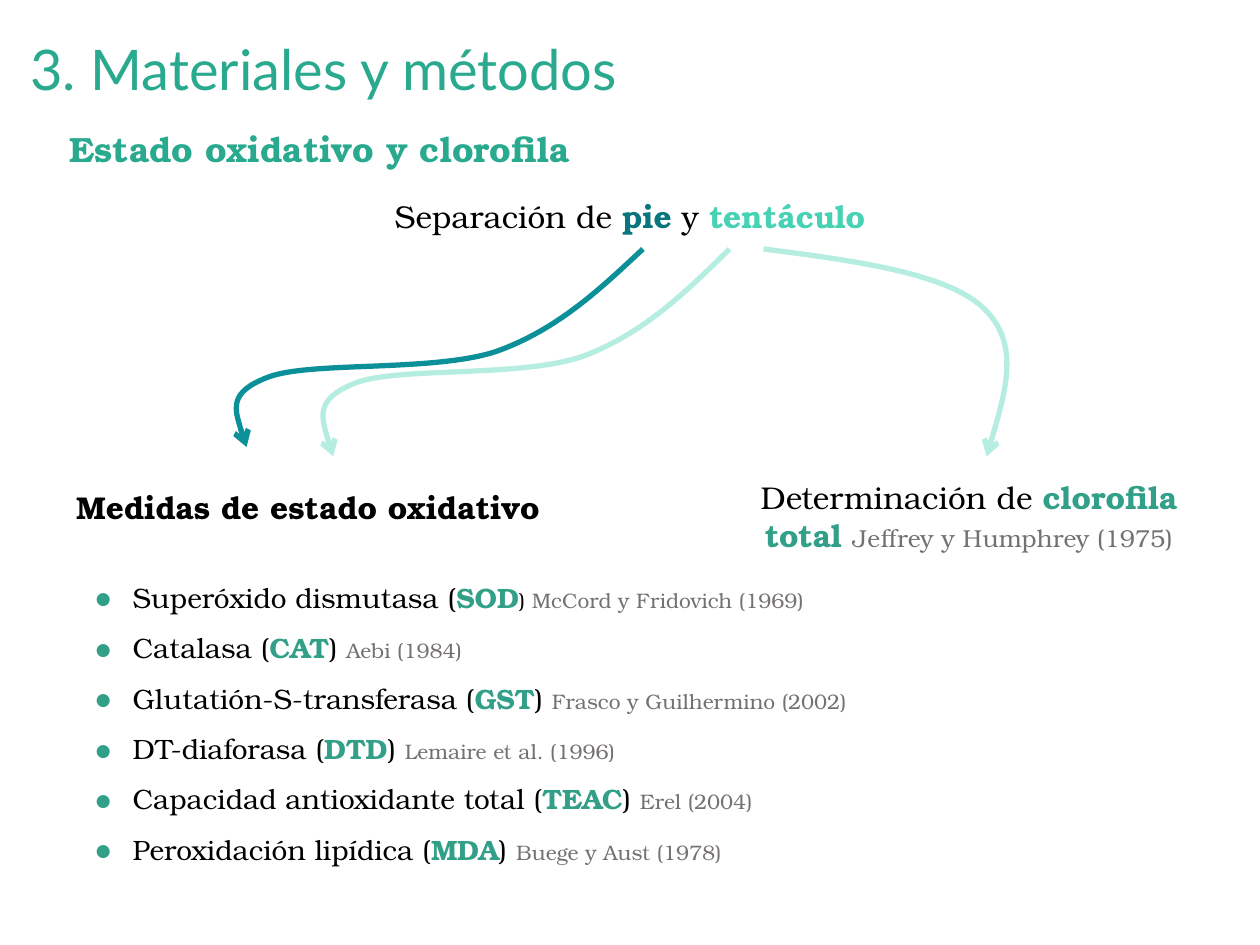
"""Build the materials and methods slide on oxidative state and chlorophyll."""
import lxml.etree
import pptx
import pptx.dml.color
import pptx.enum.text
import pptx.oxml.ns
import pptx.util

Pt = pptx.util.Pt
RGBColor = pptx.dml.color.RGBColor
qn = pptx.oxml.ns.qn
LEFT = pptx.enum.text.PP_ALIGN.LEFT
CENTER = pptx.enum.text.PP_ALIGN.CENTER

BLACK = RGBColor(0x00, 0x00, 0x00)
GREY = RGBColor(0x76, 0x71, 0x71)
HEADING = RGBColor(0x29, 0xA9, 0x8E)
ACCENT = RGBColor(0x32, 0xA0, 0x88)
FOOT = RGBColor(0x09, 0x75, 0x7C)
TENTACLE = RGBColor(0x47, 0xD2, 0xB4)
FOOT_ARROW = RGBColor(0x0B, 0x8F, 0x99)
TENTACLE_ARROW = RGBColor(0xB5, 0xED, 0xE1)


class SlideWriter:
    """Hold the style and the current slide, and draw each kind of element."""

    body_font = "TeX Gyre Bonum"
    title_font = "Lato"
    arrow_width = 3

    def __init__(self, slide):
        self.slide = slide

    def run(self, paragraph, text, size, color=BLACK, bold=False, name=None):
        """Add one formatted run."""
        run = paragraph.add_run()
        run.text = text
        formats = {"size": Pt(size), "bold": bold, "name": name or self.body_font}
        for attribute, value in formats.items():
            setattr(run.font, attribute, value)
        run.font.color.rgb = color

    def bullet(self, paragraph):
        """Give a paragraph a hanging coloured bullet."""
        properties = paragraph._p.get_or_add_pPr()
        properties.set("marL", str(Pt(22.5)))
        properties.set("indent", str(-Pt(22.5)))
        color = lxml.etree.SubElement(properties, qn("a:buClr"))
        lxml.etree.SubElement(color, qn("a:srgbClr"), val=str(ACCENT))
        lxml.etree.SubElement(properties, qn("a:buSzPct"), val="125000")
        lxml.etree.SubElement(properties, qn("a:buFont"), typeface=self.title_font)
        lxml.etree.SubElement(properties, qn("a:buChar"), char="•")
        paragraph.line_spacing = 1.5

    def text(self, box, paragraphs, align=LEFT, bulleted=False):
        """Add a text box whose paragraphs are lists of runs."""
        frame = self.slide.shapes.add_textbox(*map(Pt, box)).text_frame
        formats = {
            "word_wrap": True,
            "auto_size": pptx.enum.text.MSO_AUTO_SIZE.SHAPE_TO_FIT_TEXT,
        }
        for attribute, value in formats.items():
            setattr(frame, attribute, value)
        for index, runs in enumerate(paragraphs):
            paragraph = frame.add_paragraph() if index else frame.paragraphs[0]
            if bulleted:
                self.bullet(paragraph)
            paragraph.alignment = align
            for run in runs:
                self.run(paragraph, *run)

    def curved_arrow(self, box, knots, color):
        """Draw an arrow along cubic curves whose extent is the box."""
        left, top, width, height = map(Pt, box)
        builder = self.slide.shapes.build_freeform(left, top)
        builder.add_line_segments([(left + width, top + height)], close=False)
        arrow = builder.convert_to_shape()
        arrow.shadow.inherit = False
        arrow.fill.background()
        arrow.line.color.rgb = color
        arrow.line.width = Pt(self.arrow_width)
        lxml.etree.SubElement(arrow.line._get_or_add_ln(), qn("a:tailEnd"), type="arrow")

        outline = next(arrow._element.iter(qn("a:path")))
        for segment in list(outline):
            outline.remove(segment)
        curves = [knots[first:first + 3] for first in range(1, len(knots), 3)]
        for tag, points in [("a:moveTo", knots[:1])] + [("a:cubicBezTo", c) for c in curves]:
            segment = lxml.etree.SubElement(outline, qn(tag))
            for x, y in points:
                lxml.etree.SubElement(
                    segment, qn("a:pt"), x=str(Pt(x) - left), y=str(Pt(y) - top))


def main():
    """Write the slide."""
    deck = pptx.Presentation()
    deck.slide_width, deck.slide_height = Pt(720), Pt(540)
    writer = SlideWriter(deck.slides.add_slide(deck.slide_layouts[6]))

    writer.text((10.3, 16, 372, 46),
                [[("3. Materiales y métodos", 32, HEADING, False, writer.title_font)]])
    writer.text((32.7, 69.4, 392.4, 31.5),
                [[("Estado oxidativo y clorofila", 20, HEADING, True)]])

    assays = [
        ("Superóxido dismutasa", "SOD", "McCord y Fridovich (1969)", 12),
        ("Catalasa", "CAT", "Aebi (1984)", 16),
        ("Glutatión-S-transferasa", "GST", "Frasco y Guilhermino (2002)", 16),
        ("DT-diaforasa", "DTD", "Lemaire et al. (1996)", 16),
        ("Capacidad antioxidante total", "TEAC", "Erel (2004)", 16),
        ("Peroxidación lipídica", "MDA", "Buege y Aust (1978)", 16),
    ]
    writer.text((46.2, 318.6, 594.7, 179.3), [
        [(f"{assay} (", 16), (acronym, 16, ACCENT, True),
         (") ", bracket_size), (citation, 12, GREY)]
        for assay, acronym, citation, bracket_size in assays
    ], bulleted=True)

    writer.text((407.9, 269.7, 291.6, 46), [[
        ("Determinación de ", 18), ("clorofila total ", 18, ACCENT, True),
        ("Jeffrey y Humphrey (1975)", 14, GREY),
    ]], CENTER)
    writer.text((214.2, 109.1, 291.6, 29), [[
        ("Separación de ", 18), ("pie", 18, FOOT, True),
        (" y ", 18), ("tentáculo", 18, TENTACLE, True),
    ]], CENTER)
    writer.text((30.2, 275.4, 291.6, 29),
                [[("Medidas de estado oxidativo", 18, BLACK, True)]], CENTER)

    top, drop = 142.3, 118.5
    foot_shift, foot_scale = -49.5, 0.955
    tentacle_to_oxidative = [
        (416.9, top), (392.4, 166.3), (367.9, 190.8), (332.6, 203.8),
        (296.6, 216), (226.8, 209.5), (203, 218.9),
        (179.3, 228.2), (185, 244.8), (190.4, top + drop),
    ]
    tentacle_to_chlorophyll = [
        (436.3, top), (488.9, 149), (540.7, 156.2), (561.6, 175.7),
        (583.2, 195.8), (573.5, 228.2), (563.8, top + drop),
    ]
    foot_to_oxidative = [
        (x + foot_shift, top + (y - top) * foot_scale) for x, y in tentacle_to_oxidative
    ]
    writer.curved_arrow((185.8, top, 231.1, drop), tentacle_to_oxidative, TENTACLE_ARROW)
    writer.curved_arrow((436.3, top, 138.2, drop), tentacle_to_chlorophyll, TENTACLE_ARROW)
    writer.curved_arrow((185.8 + foot_shift, top, 231.1, drop * foot_scale),
                        foot_to_oxidative, FOOT_ARROW)

    deck.save("out.pptx")


if __name__ == "__main__":
    main()
